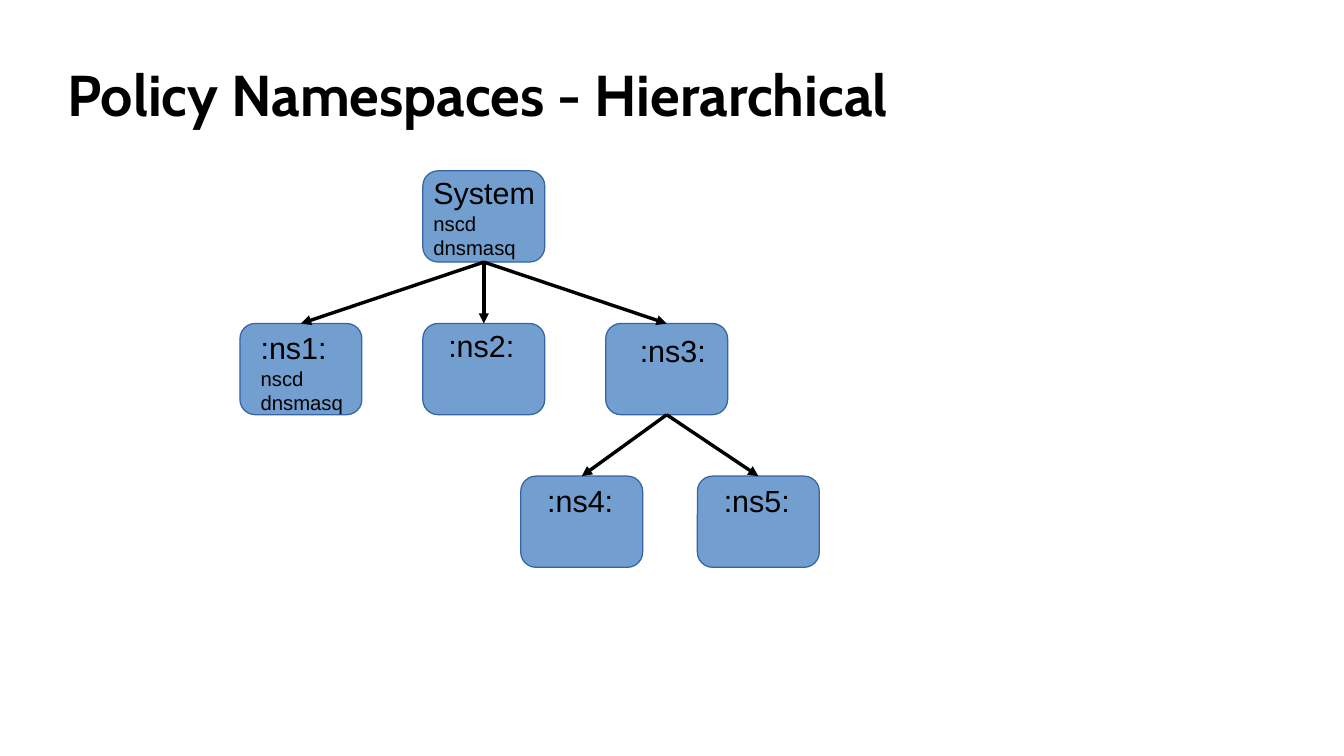
from dataclasses import dataclass

from lxml import etree
from pptx import Presentation, util as u
from pptx.dml.color import RGBColor
from pptx.enum import shapes, text
from pptx.oxml.ns import qn


@dataclass(frozen=True)
class Theme:
    ink: RGBColor = RGBColor(0x00, 0x00, 0x00)
    paper: RGBColor = RGBColor(0xFF, 0xFF, 0xFF)
    box_fill: RGBColor = RGBColor(0x72, 0x9F, 0xCF)
    box_line: RGBColor = RGBColor(0x34, 0x65, 0xA4)
    title_font: str = "Cabin"
    label_font: str = "Arial"
    title_size: int = 34
    name_size: int = 18
    process_size: int = 12


class SlideBuilder:
    box_width, box_height = 2.54, 1.9

    def __init__(self, deck, theme):
        self.theme = theme
        self.page = deck.slides.add_slide(deck.slide_layouts[5])
        fill = self.page.background.fill
        fill.solid()
        fill.fore_color.rgb = theme.paper

    def add_span(self, para, wording, font, size, bold=False):
        para.alignment = text.PP_ALIGN.LEFT
        span = para.add_run()
        span.text = wording
        span.font.name = font
        span.font.size = u.Pt(size)
        span.font.bold = bold
        span.font.color.rgb = self.theme.ink

    def title(self, wording, left, top, width, height):
        holder = self.page.shapes.title
        holder.left, holder.top = u.Cm(left), u.Cm(top)
        holder.width, holder.height = u.Cm(width), u.Cm(height)
        frame = holder.text_frame
        frame.margin_left = frame.margin_right = 0
        frame.margin_top = frame.margin_bottom = 0
        frame.vertical_anchor = text.MSO_ANCHOR.MIDDLE
        frame.auto_size = text.MSO_AUTO_SIZE.NONE
        self.add_span(frame.paragraphs[0], wording, self.theme.title_font,
                      self.theme.title_size, bold=True)

    def box(self, left, top):
        box = self.page.shapes.add_shape(
            shapes.MSO_SHAPE.ROUNDED_RECTANGLE, u.Cm(left), u.Cm(top),
            u.Cm(self.box_width), u.Cm(self.box_height))
        box.shadow.inherit = False
        box.fill.solid()
        box.fill.fore_color.rgb = self.theme.box_fill
        box.line.color.rgb = self.theme.box_line
        box.line.width = 0
        return box

    def arrow(self, parent, child):
        bottom_site, top_site = 2, 0
        arrow = self.page.shapes.add_connector(shapes.MSO_CONNECTOR.STRAIGHT, 0, 0, 0, 0)
        arrow.begin_connect(parent, bottom_site)
        arrow.end_connect(child, top_site)
        arrow.line.color.rgb = self.theme.ink
        arrow.line.width = 0
        properties = arrow.element.spPr
        etree.SubElement(properties.find(qn("a:ln")), qn("a:tailEnd"), type="triangle")
        etree.SubElement(properties, qn("a:effectLst"))

    def label(self, name, processes, left, top, width):
        height = self.box_height if processes else 0.97
        label = self.page.shapes.add_textbox(u.Cm(left), u.Cm(top), u.Cm(width), u.Cm(height))
        frame = label.text_frame
        frame.word_wrap = False
        frame.auto_size = text.MSO_AUTO_SIZE.SHAPE_TO_FIT_TEXT
        self.add_span(frame.paragraphs[0], name, self.theme.label_font, self.theme.name_size)
        for process in processes:
            self.add_span(frame.add_paragraph(), process, self.theme.label_font,
                          self.theme.process_size)


@dataclass(frozen=True)
class Namespace:
    name: str
    parent: str
    left: float
    level: int
    shift: tuple
    label_width: float = 1.88
    processes: tuple = ()


FIRST_TOP, LEVEL_STEP = 3.56, 3.18
CENTRE, SIBLING_STEP = 8.81, 3.81
DAEMONS = ("nscd", "dnsmasq")
NAMESPACES = (
    Namespace("System", "", CENTRE, 0, (-0.03, -0.05), 2.62, DAEMONS),
    Namespace(":ns1:", "System", CENTRE - SIBLING_STEP, 1, (0.18, 0), 2.24, DAEMONS),
    Namespace(":ns2:", "System", CENTRE, 1, (0.28, -0.05)),
    Namespace(":ns3:", "System", CENTRE + SIBLING_STEP, 1, (0.46, 0.05)),
    Namespace(":ns4:", ":ns3:", 10.85, 2, (0.3, 0)),
    Namespace(":ns5:", ":ns3:", 14.53, 2, (0.3, 0)),
)


def main():
    deck = Presentation()
    deck.slide_width, deck.slide_height = u.Cm(28), u.Cm(15.75)
    builder = SlideBuilder(deck, Theme())
    builder.title("Policy Namespaces - Hierarchical", 1.4, 0.63, 25.2, 2.64)

    tops = [FIRST_TOP + level * LEVEL_STEP for level in range(3)]
    boxes = {space.name: builder.box(space.left, tops[space.level]) for space in NAMESPACES}
    for space in NAMESPACES:
        if space.parent:
            builder.arrow(boxes[space.parent], boxes[space.name])
    for space in NAMESPACES:
        across, down = space.shift
        builder.label(space.name, space.processes, space.left + across,
                      tops[space.level] + down, space.label_width)

    deck.save("out.pptx")


if __name__ == "__main__":
    main()
